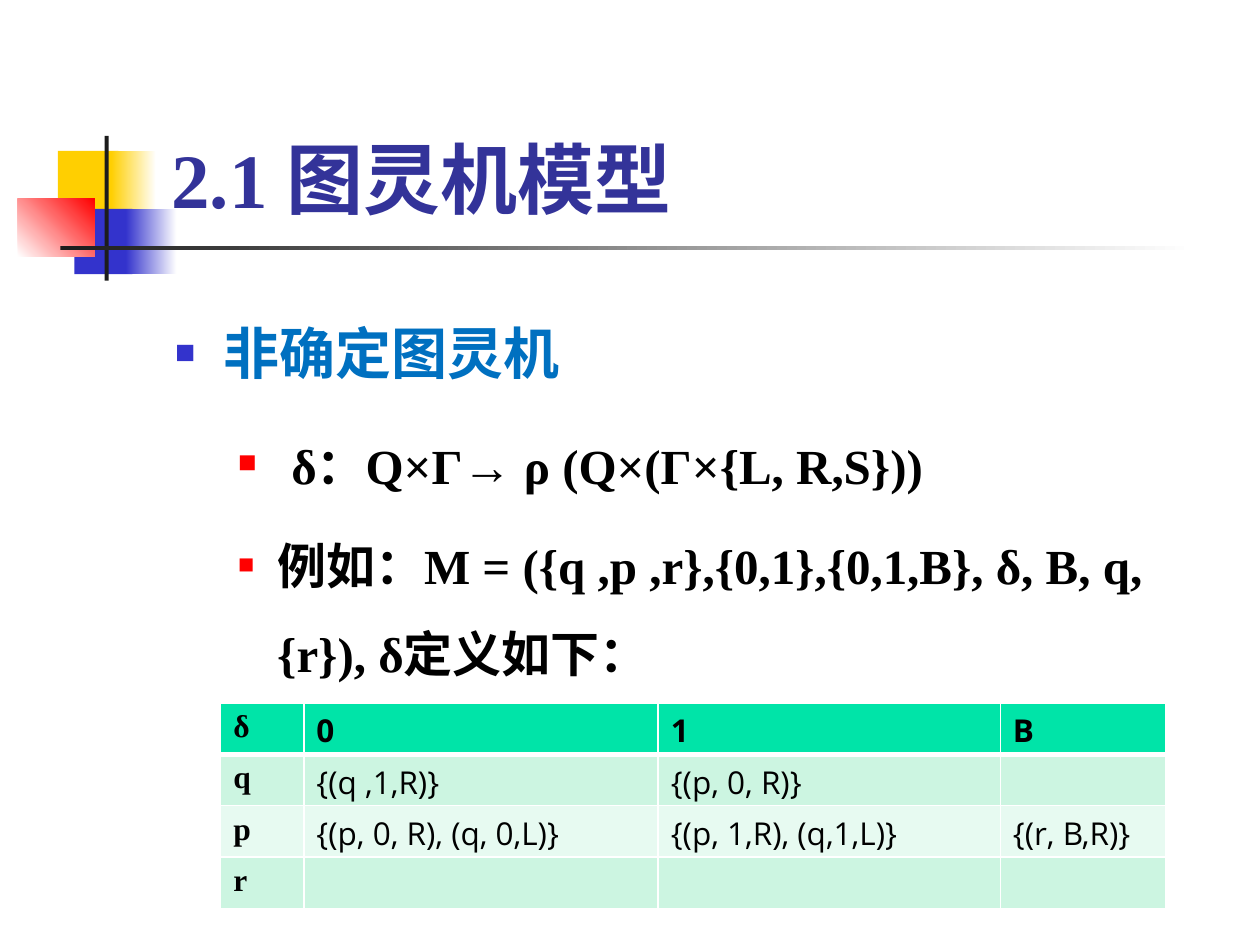
from dataclasses import dataclass

from lxml.etree import SubElement
from pptx import Presentation
from pptx.dml.color import RGBColor as Rgb
from pptx.enum.shapes import MSO_SHAPE as Shape
from pptx.enum.text import MSO_ANCHOR as Anchor, MSO_AUTO_SIZE as Fit, PP_ALIGN as Align
from pptx.oxml.ns import qn
from pptx.util import Cm, Pt


@dataclass(frozen=True)
class Theme:
    """Colours, fonts and type sizes of the slide."""
    gold: str = "FFCF01"
    blue: str = "3333CC"
    red: str = "FF0000"
    dark: str = "1C1C1C"
    white: str = "FFFFFF"
    black: str = "000000"
    title: str = "333399"
    topic: str = "0070C0"
    head: str = "00E4A8"
    bands: tuple = ("CCF5E1", "E7FAF1")
    serif: str = "Times New Roman"
    sans: str = "Open Sans"
    big: int = 44
    mid: int = 32
    small: int = 28
    grid: int = 18


T = Theme()


def style(para, size, color, name=T.serif, bold=True):
    """Set the font of a paragraph."""
    font = para.font
    font.name, font.size, font.bold = name, Pt(size), bold
    font.color.rgb = Rgb.from_string(color)


def place(shape, box):
    """Move a shape to a box given in centimetres."""
    shape.left, shape.top, shape.width, shape.height = map(Cm, box)


def add_title(slide, box):
    """Fill the title placeholder."""
    place(slide.shapes.title, box)
    frame = slide.shapes.title.text_frame
    frame.auto_size, frame.vertical_anchor = Fit.NONE, Anchor.BOTTOM
    para = frame.paragraphs[0]
    para.text, para.alignment = "2.1 图灵机模型", Align.LEFT
    style(para, T.big, T.title)


def add_motif(slide, left, top):
    """Draw the coloured blocks and the fading rule."""
    parts = [
        (0.81, 0.3, 1.22, 1.32, [T.gold], 0),
        (1.88, 0.3, 0.91, 1.32, [T.gold, T.white], 0),
        (1.14, 1.47, 1.17, 1.32, [T.blue], 0),
        (2.18, 1.47, 1.02, 1.32, [T.blue, T.white], 0),
        (0, 1.27, 1.55, 1.17, [T.white, T.red], 45),
        (1.75, 0, 0.08, 2.92, [T.dark], 0),
        (0.86, 2.21, 22.86, 0.09, [T.dark, T.white], 0),
    ]
    for x, y, w, h, colors, angle in parts:
        box = map(Cm, (left + x, top + y, w, h))
        block = slide.shapes.add_shape(Shape.RECTANGLE, *box)
        block.shadow.inherit = False
        block.line.fill.background()
        if len(colors) == 1:
            block.fill.solid()
            block.fill.fore_color.rgb = Rgb.from_string(colors[0])
            continue
        block.fill.gradient()
        block.fill.gradient_angle = angle
        for stop, color in zip(block.fill.gradient_stops, colors):
            stop.color.rgb = Rgb.from_string(color)


def add_bullet(para, color, scale, left, hang):
    """Give a paragraph a square bullet and a hanging indent."""
    props = para._p.get_or_add_pPr()
    props.set("marL", str(Cm(left)))
    props.set("indent", str(-Cm(hang)))
    SubElement(SubElement(props, qn("a:buClr")), qn("a:srgbClr"), val=color)
    SubElement(props, qn("a:buSzPct"), val=str(scale * 1000))
    SubElement(props, qn("a:buFont"), typeface=T.serif)
    SubElement(props, qn("a:buChar"), char="■")


def add_body(slide, box):
    """Write the topic and its two points."""
    frame = slide.shapes.add_textbox(*map(Cm, box)).text_frame
    frame.word_wrap = True
    top = (T.blue, 60, 0.97, 0.97)
    sub = (T.red, 55, 2.06, 0.79)
    rows = [
        (0, top, T.mid, T.topic, ["非确定图灵机"]),
        (1, sub, T.small, T.black, [" ", "δ：Q×Γ→ ρ (Q×(Γ×{L, R,S}))"]),
        (1, sub, T.small, T.black,
         ["例如：M = ({q ,p ,r},{0,1},{0,1,B}, δ, B, q, {r}), δ定义如下："]),
    ]
    for i, (level, bullet, size, color, runs) in enumerate(rows):
        para = frame.add_paragraph() if i else frame.paragraphs[0]
        para.level = level
        add_bullet(para, *bullet)
        para.line_spacing, para.space_before = 1.5, Pt(size * 0.2)
        style(para, size, color)
        for text in runs:
            run = para.add_run()
            run.text = text
            if text == " ":
                run.font.size = Pt(T.mid)


def add_edges(cell, foot):
    """Draw the white borders of a cell."""
    props = cell._tc.get_or_add_tcPr()
    for side, width in (("L", 1), ("R", 1), ("T", 1), ("B", foot)):
        line = SubElement(props, qn(f"a:ln{side}"), w=str(Pt(width)))
        fill = SubElement(line, qn("a:solidFill"))
        SubElement(fill, qn("a:srgbClr"), val=T.white)


def add_grid(slide, box):
    """Build the transition table."""
    rows = [
        ("δ", "0", "1", "B"),
        ("q", "{(q ,1,R)}", "{(p, 0, R)}", ""),
        ("p", "{(p, 0, R), (q, 0,L)}", "{(p, 1,R), (q,1,L)}", "{(r, B,R)}"),
        ("r", "", "", ""),
    ]
    table = slide.shapes.add_table(len(rows), 4, *map(Cm, box)).table
    for column, share in zip(table.columns, (0.088, 0.375, 0.362, 0.175)):
        column.width = Cm(box[2] * share)
    for i, row in enumerate(rows):
        for j, text in enumerate(row):
            cell = table.cell(i, j)
            add_edges(cell, 1 if i else 3)
            cell.fill.solid()
            color = T.bands[(i - 1) % 2] if i else T.head
            cell.fill.fore_color.rgb = Rgb.from_string(color)
            para = cell.text_frame.paragraphs[0]
            para.text = text
            name = T.sans if j else T.serif
            style(para, T.grid, T.black, name, i == 0 or j == 0)


def main():
    """Build and save the slide."""
    deck = Presentation()
    deck.slide_width, deck.slide_height = Cm(25.4), Cm(19.05)
    slide = deck.slides.add_slide(deck.slide_layouts[5])
    add_motif(slide, 0.36, 2.74)
    add_title(slide, (3.2, 0.58, 21.64, 4.06))
    add_body(slide, (3.28, 5.61, 21.59, 12.17))
    add_grid(slide, (4.45, 14.17, 19.05, 4.14))
    deck.save("out.pptx")


if __name__ == "__main__":
    main()
